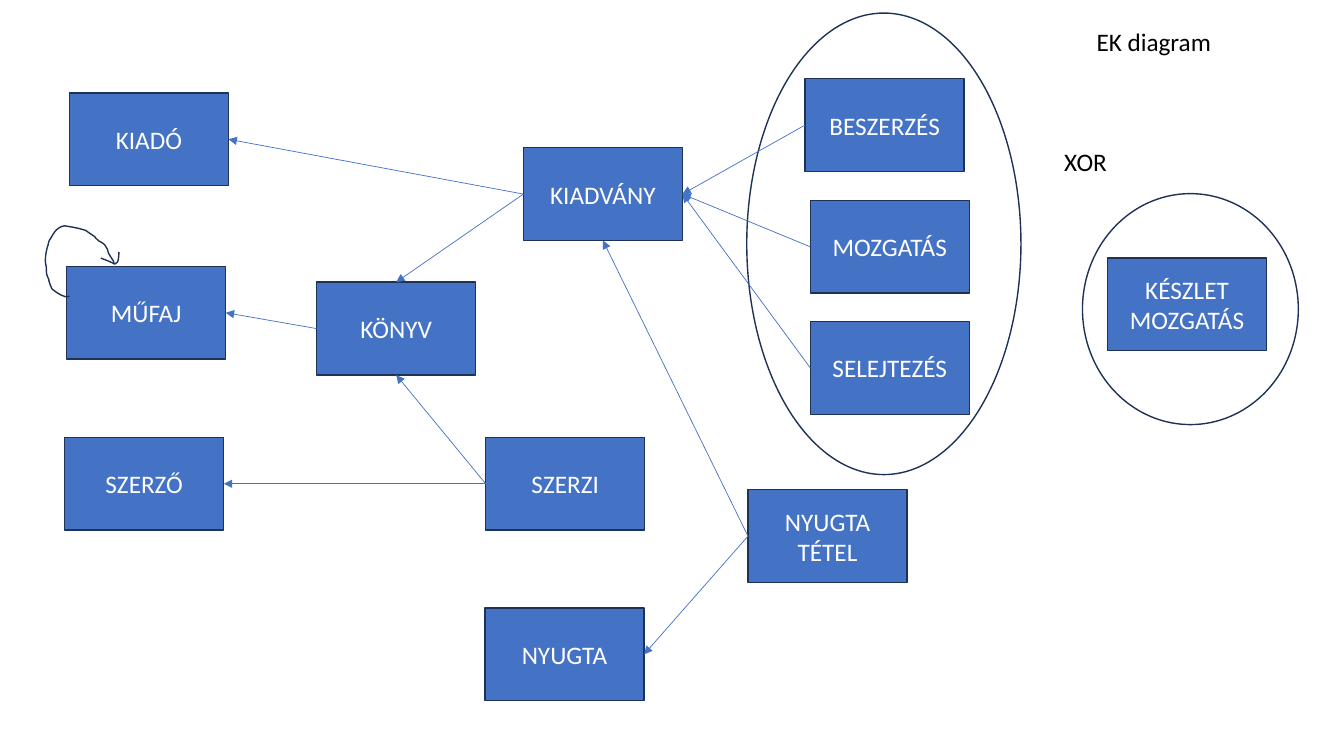
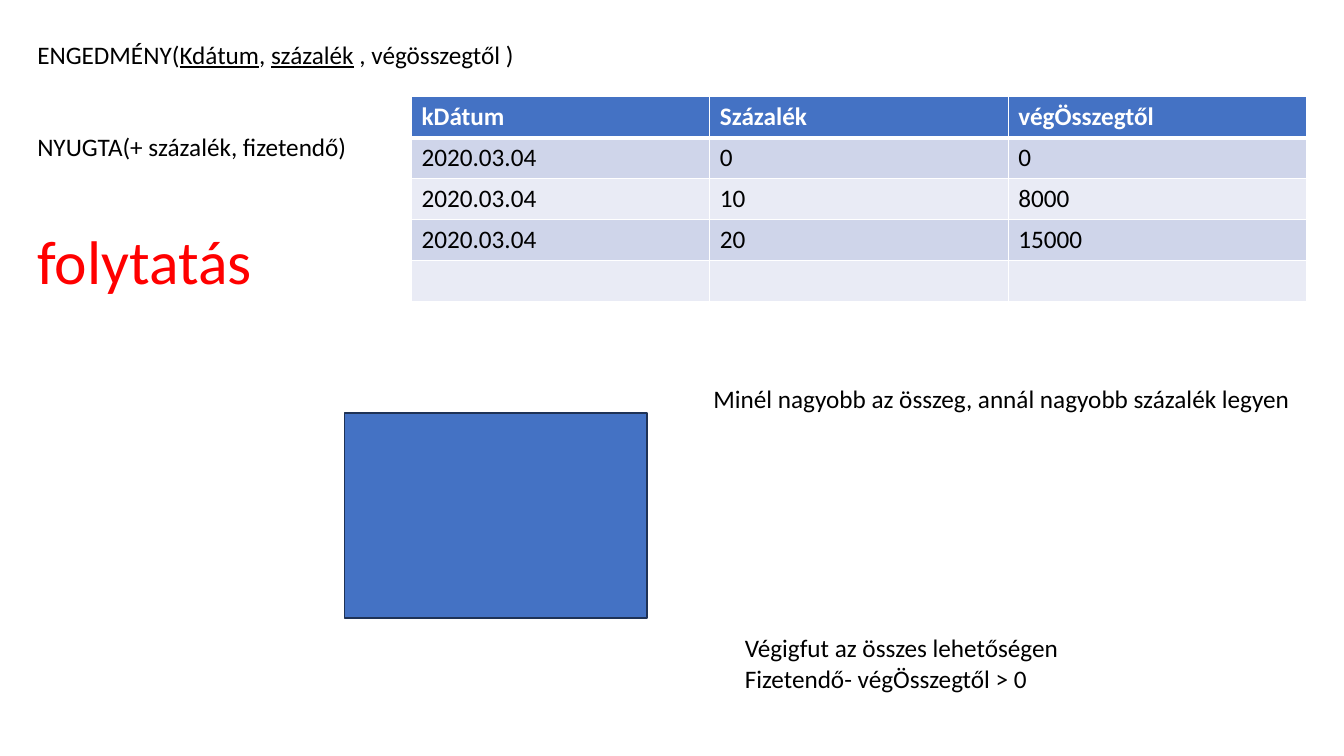
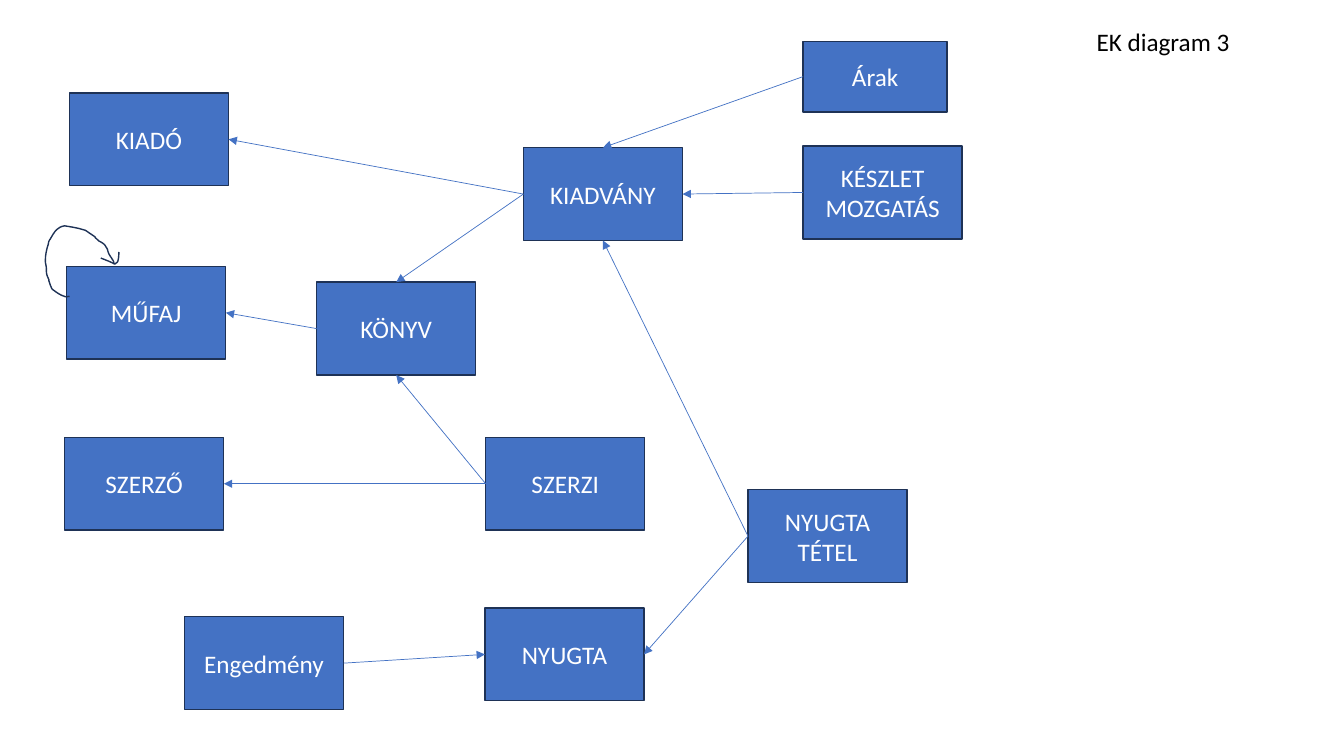
from itertools import pairwise

from lxml.etree import SubElement
from pptx import Presentation
from pptx.dml.color import RGBColor
from pptx.enum.shapes import MSO_CONNECTOR, MSO_SHAPE
from pptx.enum.text import MSO_ANCHOR, MSO_AUTO_SIZE, PP_ALIGN
from pptx.oxml import parse_xml
from pptx.oxml.ns import nsdecls, qn
from pptx.util import Cm, Pt

BLUE, NAVY, WHITE, BLACK, RED = "4472C4", "1E3256", "FFFFFF", "000000", "FF0000"
BANDS = ("CFD5EA", "E9EBF5")
FONT = "Calibri"
TITLE_ONLY, BLANK = 5, 6
TOP, LEFT, BOTTOM, RIGHT = range(4)
ENTITY_SIZE = (4.01, 2.34)

SHARED_ENTITIES = {
    "MŰFAJ": (1.68, 6.71),
    "KÖNYV": (7.98, 7.11),
    "SZERZŐ": (1.63, 11.02),
    "SZERZI": (12.24, 11.02),
    "KIADVÁNY": (13.19, 3.72),
    "KIADÓ": (1.75, 2.34),
    "NYUGTA": (12.22, 15.32),
    "NYUGTA\nTÉTEL": (18.85, 12.34),
}
SHARED_RELATIONS = [
    ("KÖNYV", LEFT, "MŰFAJ", RIGHT),
    ("SZERZI", LEFT, "KÖNYV", BOTTOM),
    ("SZERZI", LEFT, "SZERZŐ", RIGHT),
    ("KIADVÁNY", LEFT, "KÖNYV", TOP),
    ("KIADVÁNY", LEFT, "KIADÓ", RIGHT),
    ("NYUGTA\nTÉTEL", LEFT, "KIADVÁNY", BOTTOM),
    ("NYUGTA\nTÉTEL", LEFT, "NYUGTA", RIGHT),
]

CURVE_UNIT = 0.0254
LOOP = [
    (69, 294), (67, 294, 66, 295, 64, 294), (60, 293, 56, 290, 52, 287),
    (51, 286, 51, 285, 50, 283), (46, 272, 51, 283, 47, 274),
    (46, 272, 46, 269, 46, 266), (46, 264, 45, 261, 45, 259),
    (45, 253, 46, 248, 48, 242), (48, 240, 49, 238, 50, 237),
    (51, 235, 54, 230, 56, 228), (60, 225, 60, 225, 64, 224),
    (70, 225, 77, 226, 83, 228), (85, 228, 88, 231, 90, 232),
    (100, 239, 89, 231, 98, 239), (100, 240, 102, 241, 104, 243),
    (105, 245, 107, 247, 107, 249), (108, 252, 108, 252, 110, 255),
    (111, 256, 111, 257, 112, 258), (113, 260, 113, 260, 113, 262),
]
LOOP_HEAD = [
    (100, 256), (102, 257, 103, 257, 105, 258), (108, 259, 114, 262, 114, 262),
    (115, 261, 117, 260, 117, 259), (118, 256, 118, 250, 118, 250),
]


def rgb(value):
    return RGBColor.from_string(value)


def write(paragraph, text, size=18, color=BLACK, bold=False, underline=False):
    run = paragraph.add_run()
    run.text = text
    font = run.font
    font.name, font.size, font.bold, font.underline = FONT, Pt(size), bold, underline
    font.color.rgb = rgb(color)


def write_lines(frame, text, align=PP_ALIGN.LEFT, **style):
    for index, line in enumerate(text.split("\n")):
        paragraph = frame.add_paragraph() if index else frame.paragraphs[0]
        paragraph.alignment = align
        write(paragraph, line, **style)


def place(shape, left, top, width, height):
    shape.left, shape.top, shape.width, shape.height = map(Cm, (left, top, width, height))


def add_text(slide, box, text="", wrap=True, **style):
    frame = slide.shapes.add_textbox(*map(Cm, box)).text_frame
    frame.word_wrap = wrap
    frame.auto_size = MSO_AUTO_SIZE.SHAPE_TO_FIT_TEXT
    if text:
        write_lines(frame, text, **style)
    return frame


def outline(shape, fill=None):
    shape.shadow.inherit = False
    if fill:
        shape.fill.solid()
        shape.fill.fore_color.rgb = rgb(fill)
    else:
        shape.fill.background()
    shape.line.color.rgb = rgb(NAVY)
    shape.line.width = Pt(1)


def add_block(slide, box, text="", kind=MSO_SHAPE.RECTANGLE, fill=BLUE):
    shape = slide.shapes.add_shape(kind, *map(Cm, box))
    outline(shape, fill)
    if text:
        shape.text_frame.vertical_anchor = MSO_ANCHOR.MIDDLE
        write_lines(shape.text_frame, text, align=PP_ALIGN.CENTER, color=WHITE)
    return shape


def add_relation(slide, source, source_side, target, target_side):
    connector = slide.shapes.add_connector(MSO_CONNECTOR.STRAIGHT, 0, 0, 0, 0)
    connector.begin_connect(source, source_side)
    connector.end_connect(target, target_side)
    connector.line.color.rgb = rgb(BLUE)
    connector.line.width = Pt(0.5)
    SubElement(connector.line._get_or_add_ln(), qn("a:tailEnd"), type="triangle")
    SubElement(connector._element.spPr, qn("a:effectLst"))


def bezier_point(points, t):
    weights = ((1 - t) ** 3, 3 * t * (1 - t) ** 2, 3 * t * t * (1 - t), t ** 3)
    return tuple(
        Cm(CURVE_UNIT * sum(w * point[axis] for w, point in zip(weights, points)))
        for axis in (0, 1)
    )


def add_curve(slide, segments, steps=4):
    points = []
    for previous, current in pairwise(segments):
        controls = [previous[-2:], current[:2], current[2:4], current[4:]]
        points += [bezier_point(controls, step / steps) for step in range(1, steps + 1)]
    start = [Cm(CURVE_UNIT * value) for value in segments[0]]
    builder = slide.shapes.build_freeform(*start, scale=1.0)
    builder.add_line_segments(points, close=False)
    outline(builder.convert_to_shape())


def add_diagram(presentation, title, entities, relations, ellipses=()):
    slide = presentation.slides.add_slide(presentation.slide_layouts[TITLE_ONLY])
    heading = slide.shapes.title
    place(heading, 27.38, 0.53, 6.07, 1.02)
    heading.text_frame.vertical_anchor = MSO_ANCHOR.TOP
    write_lines(heading.text_frame, title)
    for box in ellipses:
        add_block(slide, box, kind=MSO_SHAPE.OVAL, fill=None)
    blocks = {}
    for name, (left, top, *size) in (SHARED_ENTITIES | entities).items():
        blocks[name] = add_block(slide, (left, top, *(size or ENTITY_SIZE)), name)
    for source, source_side, target, target_side in SHARED_RELATIONS + relations:
        add_relation(slide, blocks[source], source_side, blocks[target], target_side)
    for segments in (LOOP, LOOP_HEAD):
        add_curve(slide, segments)
    return slide


def add_borders(cell, header):
    properties = cell._tc.get_or_add_tcPr()
    for index, side in enumerate("LRTB"):
        width = Pt(3 if header and side == "B" else 1)
        properties.insert(index, parse_xml(
            f'<a:ln{side} {nsdecls("a")} w="{width}"><a:solidFill>'
            f'<a:srgbClr val="{WHITE}"/></a:solidFill></a:ln{side}>'
        ))


def add_grid(slide, rows, left, top, column_width, row_height):
    columns = len(rows[0])
    table = slide.shapes.add_table(
        len(rows), columns, Cm(left), Cm(top),
        Cm(column_width * columns), Cm(row_height * len(rows)),
    ).table
    table.horz_banding = False
    for column in table.columns:
        column.width = Cm(column_width)
    for row_index, values in enumerate(rows):
        header = row_index == 0
        table.rows[row_index].height = Cm(row_height)
        for column_index, value in enumerate(values):
            cell = table.cell(row_index, column_index)
            cell.fill.solid()
            cell.fill.fore_color.rgb = rgb(BLUE if header else BANDS[(row_index - 1) % 2])
            add_borders(cell, header)
            if value:
                write_lines(cell.text_frame, value, bold=header,
                            color=WHITE if header else BLACK)


def add_discount_slide(presentation):
    slide = presentation.slides.add_slide(presentation.slide_layouts[BLANK])
    frame = add_text(slide, (0.69, 0.86, 17.3, 9.07))
    schema = frame.paragraphs[0]
    for text, underline in (("ENGEDMÉNY(", False), ("Kdátum", True), (", ", False),
                            ("százalék", True), (" , végösszegtől )", False)):
        write(schema, text, underline=underline)
    for text, size, color in (("NYUGTA(+ százalék, fizetendő)", 18, BLACK),
                              ("folytatás", 44, RED)):
        paragraph = frame.add_paragraph()
        paragraph.space_before = Pt(44)
        write(paragraph, text, size=size, color=color)
    add_grid(slide, [
        ("kDátum", "Százalék", "végÖsszegtől"),
        ("2020.03.04", "0", "0"),
        ("2020.03.04", "10", "8000"),
        ("2020.03.04", "20", "15000"),
        ("", "", ""),
    ], left=10.37, top=2.44, column_width=7.52, row_height=1.03)
    add_text(slide, (17.73, 9.53, 15.21, 1.02),
             "Minél nagyobb az összeg, annál nagyobb százalék legyen", wrap=False)
    add_block(slide, (8.69, 10.41, 7.62, 5.16))
    add_text(slide, (18.52, 15.82, 8.51, 1.8),
             "Végigfut az összes lehetőségen\nFizetendő- végÖsszegtől > 0", wrap=False)


def main():
    presentation = Presentation()
    presentation.slide_width, presentation.slide_height = Cm(33.87), Cm(19.05)

    movements = {"BESZERZÉS": (20.29, 1.98), "MOZGATÁS": (20.42, 5.05),
                 "SELEJTEZÉS": (20.42, 8.1)}
    slide = add_diagram(
        presentation, "EK diagram",
        movements | {"KÉSZLET\nMOZGATÁS": (27.91, 6.5)},
        [(name, LEFT, "KIADVÁNY", RIGHT) for name in movements],
        ellipses=[(27.28, 4.88, 5.44, 5.82), (18.82, 0.33, 6.91, 11.63)],
    )
    add_text(slide, (26.57, 3.56, 2.29, 1.02), "XOR")

    add_discount_slide(presentation)

    add_diagram(
        presentation, "EK diagram 3",
        {"KÉSZLET\nMOZGATÁS": (20.24, 3.68), "Árak": (20.24, 1.04, 3.63, 1.78),
         "Engedmény": (4.65, 15.54)},
        [("KÉSZLET\nMOZGATÁS", LEFT, "KIADVÁNY", RIGHT),
         ("Árak", LEFT, "KIADVÁNY", TOP),
         ("Engedmény", RIGHT, "NYUGTA", LEFT)],
    )
    presentation.save("out.pptx")


if __name__ == "__main__":
    main()
